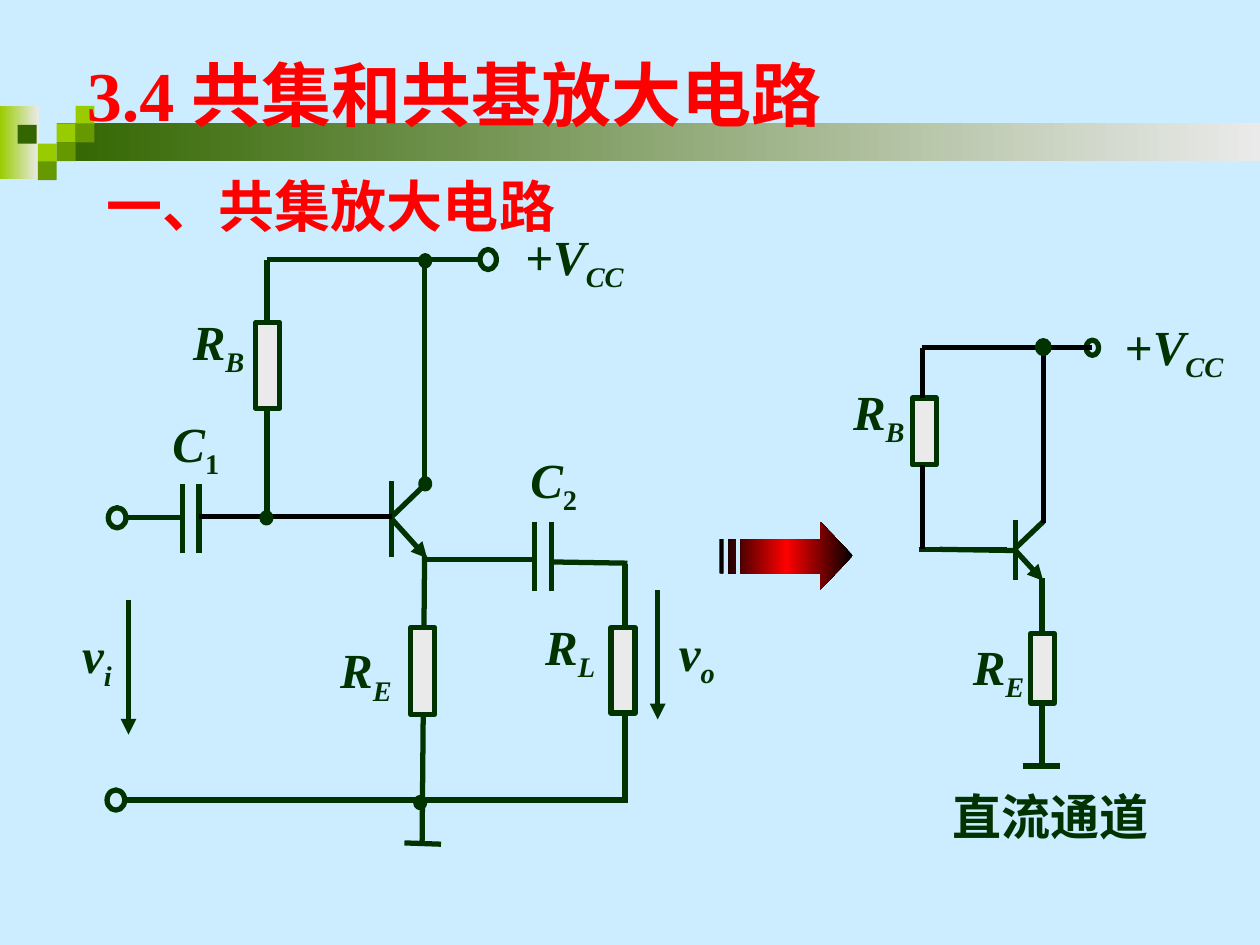
from lxml import etree
from pptx import Presentation
from pptx import util as u
from pptx.dml.color import RGBColor
from pptx.enum import shapes, text
from pptx.oxml import ns

SKY = RGBColor(0xCC, 0xEC, 0xFF)
INK = RGBColor(0x00, 0x33, 0x00)
BLACK = RGBColor(0x00, 0x00, 0x00)
RED = RGBColor(0xFF, 0x00, 0x00)
PALE = RGBColor(0xEA, 0xEA, 0xEA)
LIME = RGBColor(0x99, 0xCC, 0x00)
LEAF = RGBColor(0x66, 0x99, 0x00)
FOREST = RGBColor(0x33, 0x66, 0x00)

COLUMNS, ROWS = 100, 75
CELL = u.Inches(10) // COLUMNS
WIRE = 3
LABEL = {"name": "Times New Roman", "size": u.Pt(28), "bold": True}
HEADING = LABEL | {"size": u.Pt(32)}
TITLE = LABEL | {"size": u.Pt(40)}
LEFT, CENTER = text.PP_ALIGN.LEFT, text.PP_ALIGN.CENTER


def cells(*values):
    return [round(value * CELL) for value in values]


def place(box, x, y, *size):
    return cells(box[0] + x, box[1] + y, *size)


def set_gradient(shape, stops):
    shape.fill.gradient()
    shape.fill.gradient_angle = 0
    stop_list = shape._element.spPr.find(".//" + ns.qn("a:gsLst"))
    for stop in list(stop_list):
        stop_list.remove(stop)
    for position, color in stops:
        stop = etree.SubElement(stop_list, ns.qn("a:gs"), pos=str(position * 1000))
        etree.SubElement(stop, ns.qn("a:srgbClr"), val=str(color))


def add_part(region, kind, area, fill=None, line=None, width=WIRE):
    part = region.shapes.add_shape(kind, *area)
    part.shadow.inherit = False
    if fill is None:
        part.fill.background()
    else:
        part.fill.solid()
        part.fill.fore_color.rgb = fill
    if line is None:
        part.line.fill.background()
    else:
        part.line.color.rgb = line
        part.line.width = u.Pt(width)
    return part


def add_wire(region, box, ends, color=INK, arrow=False):
    wire = region.shapes.add_connector(
        shapes.MSO_CONNECTOR.STRAIGHT, *place(box, *ends[:2]), *place(box, *ends[2:]))
    wire.line.color.rgb = color
    wire.line.width = u.Pt(WIRE)
    if arrow:
        etree.SubElement(wire.line._get_or_add_ln(), ns.qn("a:tailEnd"), type="triangle")
    etree.SubElement(wire._element.spPr, ns.qn("a:effectLst"))


def write(frame, spans, style, color, align=LEFT, anchor=text.MSO_ANCHOR.TOP, wrap=True):
    settings = {"word_wrap": wrap, "vertical_anchor": anchor, "auto_size": text.MSO_AUTO_SIZE.NONE}
    for name, value in settings.items():
        setattr(frame, name, value)
    para = frame.paragraphs[0]
    para.alignment = align
    for words, italic, lowered in spans:
        span = para.add_run()
        span.text = words
        for name, value in (style | {"italic": italic}).items():
            setattr(span.font, name, value)
        span.font.color.rgb = color
        if lowered:
            span._r.get_or_add_rPr().set("baseline", "-25000")


def add_label(region, box, x, y, width, spans, align=CENTER):
    frame = region.shapes.add_textbox(*place(box, x, y, width, 6.3)).text_frame
    write(frame, spans, LABEL, INK, align, text.MSO_ANCHOR.MIDDLE, False)


def symbol(letter, index, upright_index=False):
    return [(letter, True, False), (index, not upright_index, True)]


def add_decoration(page, box):
    region = page.shapes.add_group_shape()
    rect = shapes.MSO_SHAPE.RECTANGLE
    for area, start in [((0, 0, 3.1, 5.8), LIME), ((4.5, 1.4, 95.5, 3), FOREST)]:
        band = add_part(region, rect, place(box, *area), PALE)
        set_gradient(band, [(0, start), (100, PALE)])
    tiles = [(4.5, 1.4, LIME), (6, 0, LIME), (6, 1.4, LEAF), (3, 3, LIME),
             (1.4, 1.5, FOREST), (4.5, 2.9, LEAF), (3, 4.4, LEAF)]
    for x, y, color in tiles:
        add_part(region, rect, place(box, x, y, 1.5, 1.5), color)


def add_circuit(page, box, wires, black_wires, arrows, resistors, terminals, nodes, node_line=WIRE):
    region = page.shapes.add_group_shape()
    for ends in wires:
        add_wire(region, box, ends)
    for ends in arrows:
        add_wire(region, box, ends, arrow=True)
    for area in resistors:
        add_part(region, shapes.MSO_SHAPE.RECTANGLE, place(box, *area), PALE, INK)
    for area in terminals:
        add_part(region, shapes.MSO_SHAPE.OVAL, place(box, *area), line=INK)
    for ends in black_wires:
        add_wire(region, box, ends, BLACK)
    for area in nodes:
        add_part(region, shapes.MSO_SHAPE.OVAL, place(box, *area), INK, INK, node_line)
    return region


def add_amplifier(page, box):
    capacitor_plates = [(x, y, x, y + 5.5)
                        for x, y in [(9.5, 21.4), (10.8, 21.4), (37.4, 24.4), (38.8, 24.4)]]
    wires = [
        (16.2, 24.2, 16.2, 3.6), (16.2, 3.6, 28.4, 3.6), (28.4, 3.6, 33, 3.6),
        (28.7, 14.5, 28.7, 3.5), (28.7, 11.7, 28.7, 21.5), (26.1, 21.2, 26.1, 27.2),
        (26.1, 24, 28.9, 21.3), (28.7, 27.1, 28.5, 49.9), (4.9, 46.5, 12.8, 46.5),
        (12.7, 46.5, 38.5, 46.5), (27.6, 46.5, 44.6, 46.5), (5.1, 24.1, 9.6, 24.1),
        (28.5, 27.4, 37.4, 27.4), (27.1, 49.9, 30, 50), (44.6, 27.8, 44.6, 46.7),
        (38.8, 27.6, 44.8, 27.7)]
    region = add_circuit(
        page, box, wires + capacitor_plates,
        black_wires=[(10.8, 24, 26.1, 24)],
        arrows=[(26.1, 24.2, 28.9, 27.3), (47.2, 29.8, 47.2, 40.1), (5.2, 30.6, 5.2, 41.3)],
        resistors=[(15.3, 8.6, 1.9, 6.8), (27.6, 32.8, 1.9, 6.9), (43.5, 32.8, 1.9, 6.8)],
        terminals=[(33.1, 2.8, 1.3, 1.6), (3.6, 23.3, 1.4, 1.6), (3.5, 45.7, 1.4, 1.6)],
        nodes=[(x, y, 0.7, 0.8) for x, y in [(28, 46.3), (28.4, 21), (28.4, 3.3), (15.8, 23.7)]])
    labels = [
        (9.3, 7.2, 6.1, symbol("R", "B")), (7.7, 15.3, 5.7, symbol("C", "1", True)),
        (36.1, 18.2, 5.7, symbol("C", "2", True)), (21, 33.3, 6.1, symbol("R", "E")),
        (37.3, 31.4, 5.9, symbol("R", "L")), (0.1, 32.1, 5.2, symbol("v", "i")),
        (47.7, 31.9, 5.2, symbol("v", "o"))]
    for label in labels:
        add_label(region, box, *label)
    add_label(region, box, 35.7, 0.5, 9.8, symbol("+V", "CC"), LEFT)


def add_direct_current_path(page, box):
    region = add_circuit(
        page, box,
        wires=[(8.6, 19.6, 14.8, 19.7), (14.6, 17.3, 14.6, 22), (14.6, 19.5, 16.8, 17.4),
               (16.7, 21.9, 16.7, 36.7), (6.9, 19.6, 13.9, 19.6), (15.2, 36.8, 18.1, 36.8)],
        black_wires=[(7.2, 3.6, 7.2, 7.6), (7.2, 12.9, 7.2, 19.6),
                     (7.2, 3.6, 20.7, 3.6), (16.8, 3.8, 16.8, 17.5)],
        arrows=[(14.6, 19.7, 16.8, 22.1)],
        resistors=[(6.4, 7.6, 1.9, 5.3), (15.8, 26.3, 1.9, 5.5)],
        terminals=[(20.2, 3, 1, 1.2)],
        nodes=[(16.2, 2.9, 1.2, 1.3)], node_line=1)
    add_label(region, box, 0.7, 5.8, 6.1, symbol("R", "B"))
    add_label(region, box, 9.5 + 0.7, 26, 6.1, symbol("R", "E"))
    add_label(region, box, 22.3, 0.6, 9.8, [("+", False, False)] + symbol("V", "CC"), LEFT)
    caption = region.shapes.add_textbox(*place(box, 8.6, 37.9, 18.8, 5.7))
    write(caption.text_frame, [("直流通道", False, False)], LABEL, INK)


def add_striped_arrow(page, box):
    head = [(8, 0), (8, 1.4), (1.7, 1.4), (1.7, 4.1), (8, 4.1), (8, 5.4), (10.6, 2.7)]
    stripes = [[(x, 1.4), (x, 4.1), (x + w, 4.1), (x + w, 1.4)] for x, w in [(0.7, 0.6), (0, 0.3)]]
    builder = page.shapes.build_freeform(*place(box, *head[0]))
    builder.add_line_segments([place(box, *point) for point in head[1:]])
    for stripe in stripes:
        builder.move_to(*place(box, *stripe[0]))
        builder.add_line_segments([place(box, *point) for point in stripe[1:]])
    arrow = builder.convert_to_shape()
    arrow.shadow.inherit = False
    arrow.line.fill.background()
    set_gradient(arrow, [(0, BLACK), (50, RED), (100, BLACK)])


def add_headings(page, box):
    title = page.shapes.title
    title.left, title.top, title.width, title.height = place(box, 0, 0, 69.1, 7.7)
    write(title.text_frame, [("3.4 共集和共基放大电路", False, False)], TITLE, RED)
    page.shapes._spTree.append(title._element)
    heading = page.shapes.add_textbox(*place(box, 1.6, 9.5, 44.9, 6.4))
    write(heading.text_frame, [("一、共集放大电路", False, False)], HEADING, RED)


def main():
    deck = Presentation()
    deck.slide_width, deck.slide_height = cells(COLUMNS, ROWS)
    page = deck.slides.add_slide(deck.slide_layouts[5])
    page.background.fill.solid()
    page.background.fill.fore_color.rgb = SKY
    add_decoration(page, (0, 8.4))
    add_amplifier(page, (5, 17))
    add_striped_arrow(page, (57.1, 41.4))
    add_direct_current_path(page, (66, 24))
    add_headings(page, (5.9, 3.6))
    deck.save("out.pptx")


if __name__ == "__main__":
    main()
